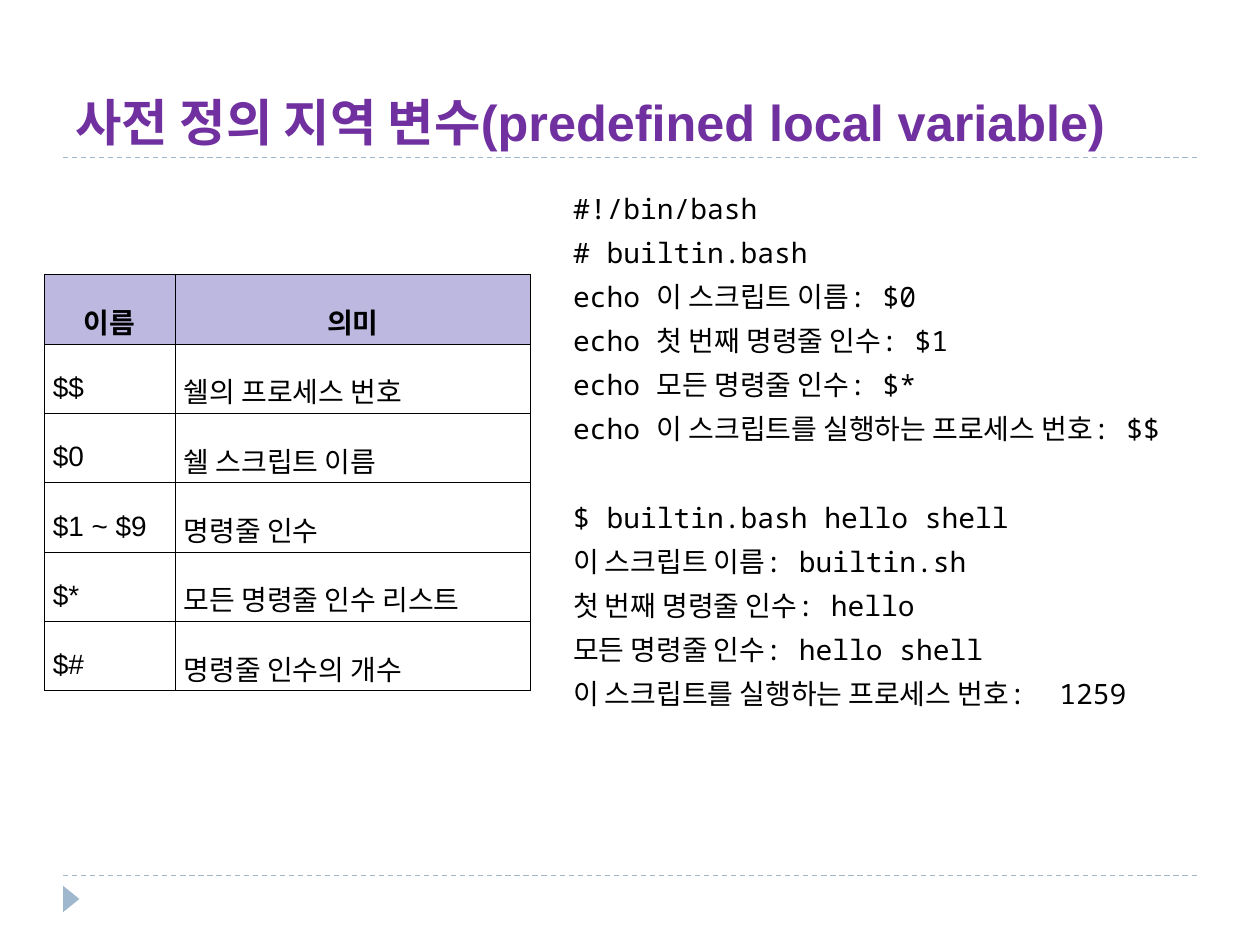
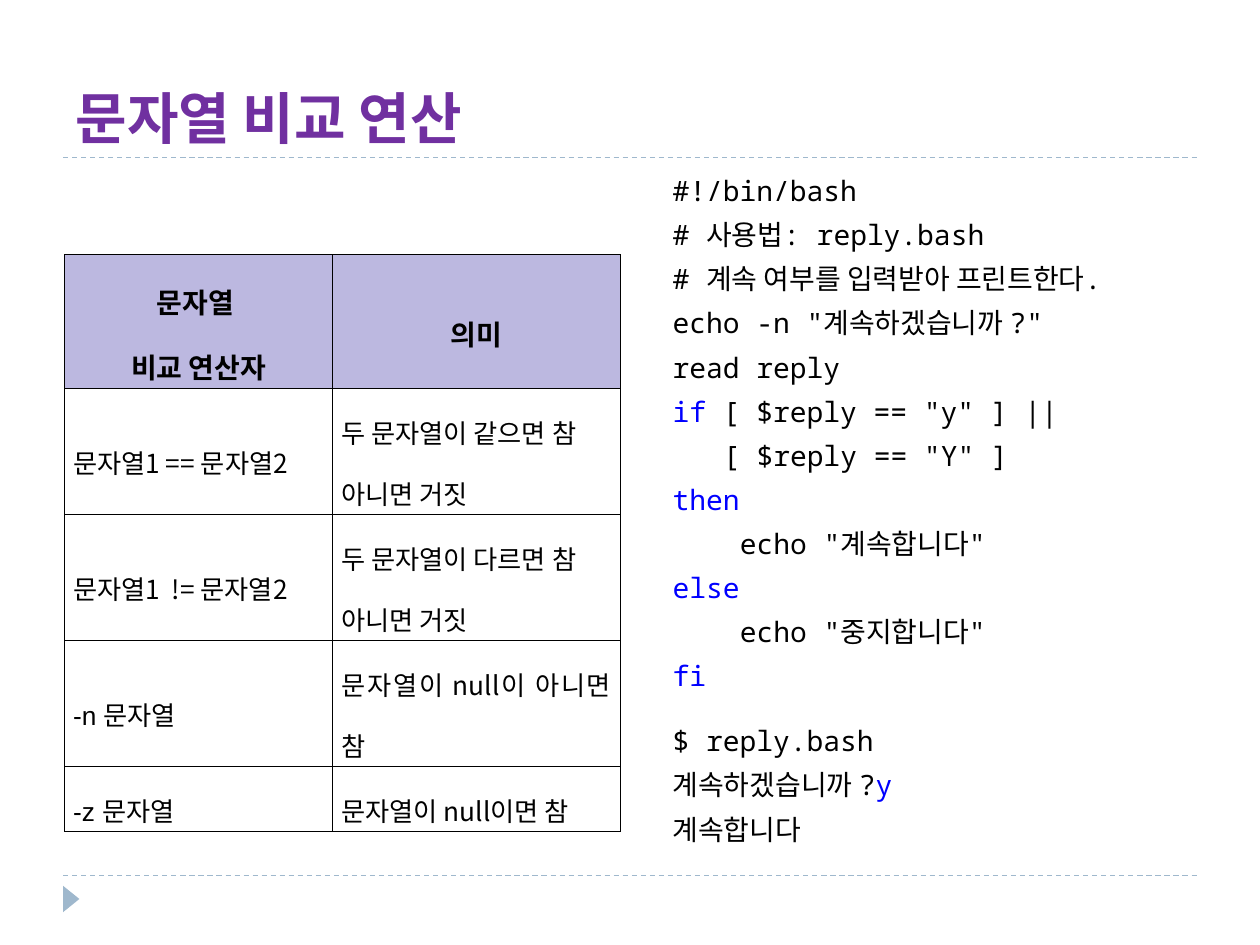
from lxml import etree
from pptx import Presentation
from pptx.dml.color import RGBColor
from pptx.enum.dml import MSO_LINE
from pptx.enum.shapes import MSO_CONNECTOR, MSO_SHAPE
from pptx.enum.text import MSO_ANCHOR, MSO_AUTO_SIZE, PP_ALIGN
from pptx.oxml.ns import qn
from pptx.util import Inches, Pt

LINE, TRI = MSO_CONNECTOR.STRAIGHT, MSO_SHAPE.ISOSCELES_TRIANGLE
DASH, NO_FIT = MSO_LINE.DASH, MSO_AUTO_SIZE.NONE
MID, LOW = MSO_ANCHOR.MIDDLE, MSO_ANCHOR.BOTTOM
LEFT, CENTER, JUST = PP_ALIGN.LEFT, PP_ALIGN.CENTER, PP_ALIGN.JUSTIFY

COLS, ROWS = 100, 75  # slide grid, cells of a tenth of an inch
BLACK, BLUE, PURPLE = "000000", "0000FF", "7030A0"
RULE, HEAD = "9FB8CD", "BCB8E0"
SANS, KOREAN, MONO = "Arial", "Noto Sans CJK KR", "Noto Sans Mono"
CODE = 16
CHAR = 0.6 * CODE  # width of one code letter in points


def unit(n):
    return Inches(n / 10)


def area(box):
    return [unit(n) for n in box]


def color(text):
    return RGBColor.from_string(text)


def style(run, size, face, tint=BLACK, bold=False):
    font = run.font
    font.size, font.name, font.bold = Pt(size), face, bold
    font.color.rgb = color(tint)
    asia = etree.SubElement(font._element, qn("a:ea"))
    asia.set("typeface", KOREAN)


def rule(slide, row):
    line = slide.shapes.add_connector(
        LINE, unit(5), unit(row), unit(COLS - 5), unit(row))
    line.line.color.rgb = color(RULE)
    line.line.width = Pt(0.75)
    line.line.dash_style = DASH
    etree.SubElement(line._element.spPr, qn("a:effectLst"))


def frame(slide):
    for row in (69.5, 12.5):
        rule(slide, row)
    mark = slide.shapes.add_shape(TRI, *area((4.6, 70.7, 2.1, 1.3)))
    mark.rotation = 90
    mark.shadow.inherit = False
    mark.fill.solid()
    mark.fill.fore_color.rgb = color(RULE)
    mark.line.fill.background()


def title(slide, text, size):
    shape = slide.shapes.title
    shape.left, shape.top, shape.width, shape.height = area((5, 2.5, 90, 10))
    body = shape.text_frame
    body.text = text
    body.auto_size, body.vertical_anchor = NO_FIT, LOW
    para = body.paragraphs[0]
    para.alignment = LEFT
    style(para.runs[0], size, SANS, PURPLE, True)


def script(slide, box, blocks, gap):
    """Code blocks set apart by gap points; `text` in backticks is blue."""
    body = slide.shapes.add_textbox(*area(box)).text_frame
    body.word_wrap = True
    lines = [(line, gap if i and not j else 6)
             for i, block in enumerate(blocks)
             for j, line in enumerate(block.split("\n"))]
    for n, (line, space) in enumerate(lines):
        para = body.add_paragraph() if n else body.paragraphs[0]
        para.space_before, para.line_spacing = Pt(space), Pt(1.2 * CODE)
        code = line.lstrip()
        props = para._p.get_or_add_pPr()
        hang = Inches(0.3)
        props.set("marL", str(hang + Pt(CHAR * (len(line) - len(code)))))
        props.set("indent", str(-hang))
        for k, part in enumerate(code.split("`")):
            if part:
                run = para.add_run()
                run.text = part
                style(run, CODE, MONO, BLUE if k % 2 else BLACK)


def border(cell):
    props = cell._tc.get_or_add_tcPr()
    for n, side in enumerate(("lnL", "lnR", "lnT", "lnB")):
        edge = etree.Element(qn("a:" + side), w=str(Pt(0.28)))
        fill = etree.SubElement(edge, qn("a:solidFill"))
        etree.SubElement(fill, qn("a:srgbClr"), val=BLACK)
        props.insert(n, edge)


def fill_cell(cell, text, size, head):
    cell.text = text
    cell.vertical_anchor = MID
    cell.margin_left = cell.margin_right = Inches(0.07)
    cell.margin_top = cell.margin_bottom = Inches(0.02)
    if head:
        cell.fill.solid()
        cell.fill.fore_color.rgb = color(HEAD)
    else:
        cell.fill.background()
    border(cell)
    face = SANS if text[0] in "$-" else KOREAN
    for para in cell.text_frame.paragraphs:
        para.alignment = CENTER if head else JUST
        para.line_spacing = 1.6
        for run in para.runs:
            style(run, size, face, bold=head)


def table(slide, spot, widths, highs, data, size):
    box = (*spot, sum(widths), sum(highs))
    grid = slide.shapes.add_table(len(data), len(widths), *area(box)).table
    for col, wide in zip(grid.columns, widths):
        col.width = unit(wide)
    for i, (row, high) in enumerate(zip(grid.rows, highs)):
        row.height = unit(high)
        for cell, text in zip(row.cells, data[i]):
            fill_cell(cell, text, size if i else 16, not i)


def page(deck, name, size):
    slide = deck.slides.add_slide(deck.slide_layouts[5])
    frame(slide)
    title(slide, name, size)
    return slide


VARS = [
    ("이름", "의미"),
    ("$$", "쉘의 프로세스 번호"),
    ("$0", "쉘 스크립트 이름"),
    ("$1 ~ $9", "명령줄 인수"),
    ("$*", "모든 명령줄 인수 리스트"),
    ("$#", "명령줄 인수의 개수"),
]
BUILTIN = ["""#!/bin/bash
# builtin.bash
echo 이 스크립트 이름: $0
echo 첫 번째 명령줄 인수: $1
echo 모든 명령줄 인수: $*
echo 이 스크립트를 실행하는 프로세스 번호: $$""",
           """$ builtin.bash hello shell
이 스크립트 이름: builtin.sh
첫 번째 명령줄 인수: hello
모든 명령줄 인수: hello shell
이 스크립트를 실행하는 프로세스 번호:  1259"""]
TESTS = [
    ("문자열 \n비교 연산자", "의미"),
    ("문자열1 == 문자열2", "두 문자열이 같으면 참 \n아니면 거짓"),
    ("문자열1  != 문자열2", "두 문자열이 다르면 참 \n아니면 거짓"),
    ("-n 문자열", "문자열이 null이 아니면 참 "),
    ("-z 문자열", "문자열이 null이면 참 "),
]
REPLY = ["""#!/bin/bash
# 사용법: reply.bash
# 계속 여부를 입력받아 프린트한다.
echo -n "계속하겠습니까 ?"
read reply
`if `[ $reply == "y" ] ||
   [ $reply == "Y" ]
`then`
    echo "계속합니다"
`else`
    echo "중지합니다"
`fi`""",
         """$ reply.bash
계속하겠습니까 ?`y`
계속합니다"""]


def main():
    deck = Presentation()
    deck.slide_width, deck.slide_height = unit(COLS), unit(ROWS)

    slide = page(deck, "사전 정의 지역 변수(predefined local variable)", 28.8)
    script(slide, (44.5, 14.7, 55.5, 54), BUILTIN, 31.2)
    table(slide, (3.5, 21.8), (10.4, 28.2), [5.5] * 6, VARS, 16)

    slide = page(deck, "문자열 비교 연산", 32)
    script(slide, (52.4, 13.3, 44.9, 54), REPLY, 18)
    table(slide, (5.1, 20.2), (21.3, 22.8), (10.6, 10, 10, 10, 5.2), TESTS, 15)

    deck.save("out.pptx")


if __name__ == "__main__":
    main()
